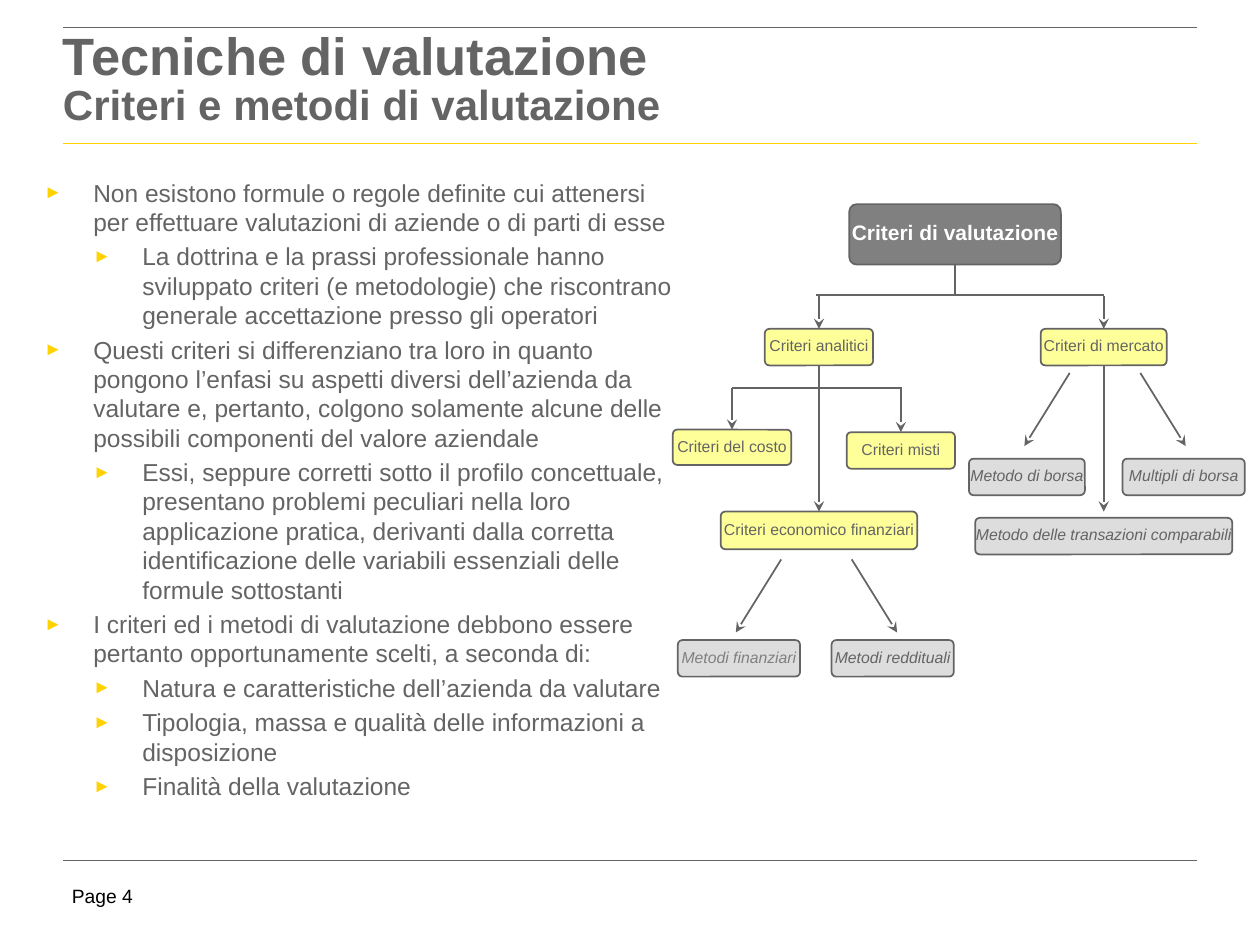
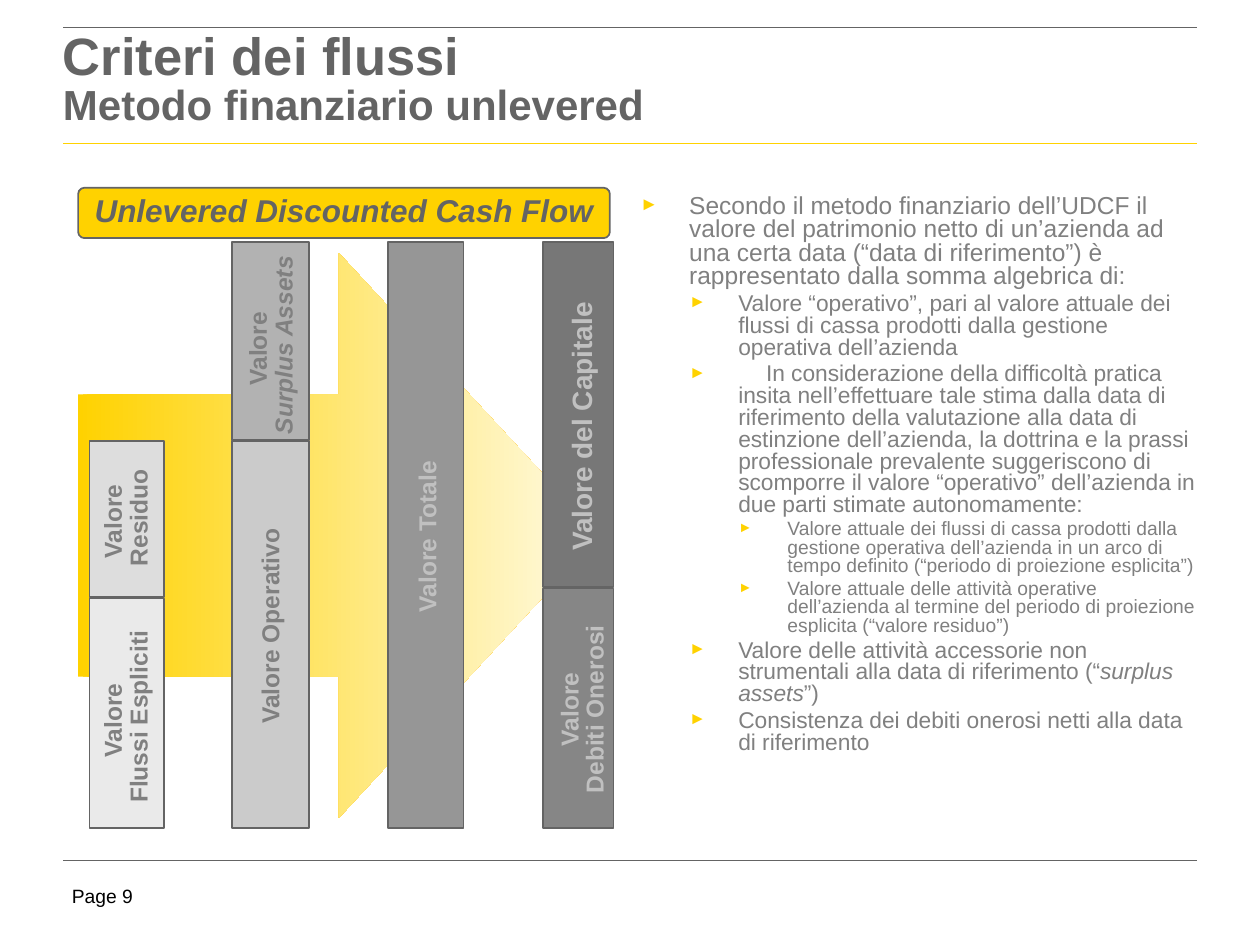
from dataclasses import dataclass

from lxml.etree import SubElement
from pptx import Presentation
from pptx.dml.color import RGBColor
from pptx.enum.shapes import MSO_CONNECTOR, MSO_SHAPE
from pptx.enum.text import MSO_ANCHOR, MSO_AUTO_SIZE, PP_ALIGN
from pptx.oxml.ns import qn
from pptx.util import Pt

PX = 9144  # EMU per px, 100 px to the inch


@dataclass(frozen=True)
class Theme:
    font: str = "Arial"
    text: str = "646464"
    muted: str = "808080"
    pale: str = "C0C0C0"
    black: str = "000000"
    white: str = "FFFFFF"
    accent: str = "FFD200"
    accent_fade: str = "FFFBE5"
    criterion: str = "FFFF99"
    method: str = "DDDDDD"
    title_size: int = 30
    subtitle_size: int = 24
    banner_size: int = 18
    capital_size: int = 16
    body_size: int = 14
    detail_size: int = 13
    root_size: int = 12
    small_size: int = 11
    node_size: int = 9


theme = Theme()


def write(paragraph, text, size, color, bold=False, italic=False, spacing=None, before=0):
    """Fill a paragraph; words between asterisks switch to italic."""
    paragraph.space_before = Pt(before)
    if spacing:
        paragraph.line_spacing = spacing
    for index, part in enumerate(text.split("*")):
        if part:
            run = paragraph.add_run()
            run.text = part
            run.font.name = theme.font
            run.font.size = Pt(size)
            run.font.bold = bold
            run.font.italic = italic or index % 2 == 1
            run.font.color.rgb = RGBColor.from_string(color)


def add_line(slide, start, end, color=theme.text, width=1, arrow=False, source=None, target=None):
    """Draw a line, joined to the bottom of source and the top of target if given."""
    line = slide.shapes.add_connector(MSO_CONNECTOR.STRAIGHT, *(n * PX for n in start + end))
    line.line.color.rgb = RGBColor.from_string(color)
    line.line.width = Pt(width)
    properties = line._element.spPr
    if arrow:
        SubElement(properties.find(qn("a:ln")), qn("a:tailEnd"), type="stealth")
    SubElement(properties, qn("a:effectLst"))
    if source:
        line.begin_connect(source, 2)
    if target:
        line.end_connect(target, 0)


presentation = Presentation()
presentation.slide_width = 1000 * PX
presentation.slide_height = 750 * PX

# Page, title, subtitle, body box, body colour, body line spacing, (level, size, text)
pages = [
    ("Page 4", "Tecniche di valutazione", "Criteri e metodi di valutazione",
     (35, 141, 505, 494), theme.text, 1.0, [
         (0, theme.body_size, "Non esistono formule o regole definite cui attenersi per effettuare "
          "valutazioni di aziende o di parti di esse"),
         (1, theme.body_size, "La dottrina e la prassi professionale hanno sviluppato criteri "
          "(e metodologie) che riscontrano generale accettazione presso gli operatori"),
         (0, theme.body_size, "Questi criteri si differenziano tra loro in quanto pongono l’enfasi su "
          "aspetti diversi dell’azienda da valutare e, pertanto, colgono solamente alcune delle "
          "possibili componenti del valore aziendale"),
         (1, theme.body_size, "Essi, seppure corretti sotto il profilo concettuale, presentano problemi "
          "peculiari nella loro applicazione pratica, derivanti dalla corretta identificazione delle "
          "variabili essenziali delle formule sottostanti"),
         (0, theme.body_size, "I criteri ed i metodi di valutazione debbono essere pertanto "
          "opportunamente scelti, a seconda di:"),
         (1, theme.body_size, "Natura e caratteristiche dell’azienda da valutare"),
         (1, theme.body_size, "Tipologia, massa e qualità delle informazioni a disposizione"),
         (1, theme.body_size, "Finalità della valutazione"),
     ]),
    ("Page 9", "Criteri dei flussi", "Metodo finanziario unlevered",
     (508, 155, 444, 494), theme.muted, 0.8, [
         (0, theme.body_size, "Secondo il metodo finanziario dell’UDCF il valore del patrimonio netto di "
          "un’azienda ad una certa data (“data di riferimento”) è rappresentato dalla somma "
          "algebrica di:"),
         (1, theme.detail_size, "Valore “operativo”, pari al valore attuale dei flussi di cassa prodotti "
          "dalla gestione operativa dell’azienda"),
         (1, theme.detail_size, "\tIn considerazione della difficoltà pratica insita nell’effettuare tale "
          "stima dalla data di riferimento della valutazione alla data di estinzione dell’azienda, la "
          "dottrina e la prassi professionale prevalente suggeriscono di scomporre il valore "
          "“operativo” dell’azienda in due parti stimate autonomamente:"),
         (2, theme.small_size, "Valore attuale dei flussi di cassa prodotti dalla gestione operativa "
          "dell’azienda in un arco di tempo definito (“periodo di proiezione esplicita”)"),
         (2, theme.small_size, "Valore attuale delle attività operative dell’azienda al termine del "
          "periodo di proiezione esplicita (“valore residuo”)"),
         (1, theme.detail_size, "Valore delle attività accessorie non strumentali alla data di "
          "riferimento (“*surplus assets*”)"),
         (1, theme.detail_size, "Consistenza dei debiti onerosi netti alla data di riferimento"),
     ]),
]

slides = []
for page, title, subtitle, body_box, body_color, body_spacing, bullets in pages:
    slide = presentation.slides.add_slide(presentation.slide_layouts[6])
    slides.append(slide)
    for y, color, width in [(114, theme.accent, 1), (683, theme.text, 0.25), (22, theme.text, 0.5)]:
        add_line(slide, (50, y), (950, y), color, width)

    frames = []
    for box, top_inset in [((57, 702, 73, 22), 0), ((50, 22, 900, 94), 4), (body_box, 0)]:
        frame = slide.shapes.add_textbox(*(n * PX for n in box)).text_frame
        frame.word_wrap = True
        frame.margin_left = frame.margin_right = frame.margin_bottom = 0
        frame.margin_top = top_inset * PX
        frames.append(frame)
    footer, heading, body = frames

    write(footer.paragraphs[0], page, theme.small_size, theme.black)
    write(heading.paragraphs[0], title, theme.title_size, theme.text, bold=True, spacing=0.85)
    write(heading.add_paragraph(), subtitle, theme.subtitle_size, theme.text, bold=True, spacing=0.85)

    for index, (level, size, text) in enumerate(bullets):
        paragraph = body.add_paragraph() if index else body.paragraphs[0]
        paragraph.level = level
        write(paragraph, text, size, body_color, spacing=body_spacing, before=0.2 * size)
        properties = paragraph._p.get_or_add_pPr()
        properties.set("marL", str(39 * (level + 1) * PX))
        properties.set("indent", str(-39 * PX))
        bullet_color = SubElement(properties, qn("a:buClr"))
        SubElement(bullet_color, qn("a:srgbClr"), val=theme.accent)
        SubElement(properties, qn("a:buSzPct"), val="75000")
        SubElement(properties, qn("a:buFont"), typeface=theme.font)
        SubElement(properties, qn("a:buChar"), char="►")

tree_slide, flow_slide = slides

# The wide arrow lies behind the bars
arrow = flow_slide.shapes.add_shape(MSO_SHAPE.RIGHT_ARROW, *(n * PX for n in (62, 201, 414, 448)))
arrow.shadow.inherit = False
arrow.line.fill.background()
arrow.fill.gradient()
arrow.fill.gradient_angle = 0
for stop, color in zip(arrow.fill.gradient_stops, (theme.accent, theme.accent_fade)):
    stop.color.rgb = RGBColor.from_string(color)

# Rounded boxes: slide, label, box, fill, size, text colour, bold, italic
criterion = (theme.criterion, theme.node_size, theme.text, False, False)
method = (theme.method, theme.node_size, theme.text, False, True)
muted_method = (theme.method, theme.node_size, theme.muted, False, True)
rounded_boxes = [
    (tree_slide, "Criteri di valutazione", (674, 162, 168, 48),
     (theme.muted, theme.root_size, theme.white, True, False)),
    (tree_slide, "Criteri analitici", (607, 261, 86, 29), criterion),
    (tree_slide, "Criteri di mercato", (826, 261, 100, 29), criterion),
    (tree_slide, "Criteri del costo", (534, 341, 94, 28), criterion),
    (tree_slide, "Criteri misti", (672, 343, 86, 29), criterion),
    (tree_slide, "Criteri economico finanziari", (572, 406, 156, 30), criterion),
    (tree_slide, "Metodi finanziari", (538, 508, 97, 29), muted_method),
    (tree_slide, "Metodi reddituali", (660, 508, 97, 29), method),
    (tree_slide, "Metodo di borsa", (769, 364, 92, 29), method),
    (tree_slide, "Multipli di borsa", (891, 364, 97, 29), method),
    (tree_slide, "Metodo delle transazioni comparabili", (774, 411, 204, 29), method),
    (flow_slide, "Unlevered Discounted Cash Flow", (62, 149, 422, 40),
     (theme.accent, theme.banner_size, theme.text, True, True)),
]
nodes = {}
for slide, label, box, (fill, size, color, bold, italic) in rounded_boxes:
    shape = slide.shapes.add_shape(MSO_SHAPE.ROUNDED_RECTANGLE, *(n * PX for n in box))
    shape.adjustments[0] = 0.125
    shape.shadow.inherit = False
    shape.fill.solid()
    shape.fill.fore_color.rgb = RGBColor.from_string(fill)
    shape.line.color.rgb = RGBColor.from_string(theme.text)
    shape.line.width = Pt(1)
    frame = shape.text_frame
    frame.word_wrap = False
    frame.vertical_anchor = MSO_ANCHOR.MIDDLE
    frame.paragraphs[0].alignment = PP_ALIGN.CENTER
    write(frame.paragraphs[0], label, size, color, bold, italic, spacing=0.85, before=0.45 * size)
    nodes[label] = shape

# Branches of the tree
root = nodes["Criteri di valutazione"]
analytic = nodes["Criteri analitici"]
market = nodes["Criteri di mercato"]
add_line(tree_slide, (758, 210), (758, 234), source=root)
add_line(tree_slide, (648, 234), (876, 234))
add_line(tree_slide, (581, 308), (716, 308))
for x, y, target in [(650, 235, analytic), (876, 235, market),
                     (581, 308, nodes["Criteri del costo"]), (715, 308, nodes["Criteri misti"])]:
    add_line(tree_slide, (x, y), (x, y + 25), arrow=True, target=target)
add_line(tree_slide, (650, 290), (650, 406), arrow=True,
         source=analytic, target=nodes["Criteri economico finanziari"])
add_line(tree_slide, (876, 290), (876, 406), arrow=True, source=market)
for x, y, run in [(620, 444, -36), (676, 444, 36), (849, 296, -36), (905, 296, 36)]:
    add_line(tree_slide, (x, y), (x + run, y + 58), arrow=True)

# Stacked bars: left, width, then (top, height, fill) for each part
stacks = [
    (71, 59, [(350, 124, "DDDDDD"), (475, 182, "EAEAEA")]),
    (184, 61, [(192, 157, "B2B2B2"), (350, 307, "CBCBCB")]),
    (308, 60, [(192, 465, "969696")]),
    (431, 56, [(192, 274, "777777"), (467, 190, "868686")]),
]
for left, width, parts in stacks:
    for top, height, fill in parts:
        bar = flow_slide.shapes.add_shape(
            MSO_SHAPE.RECTANGLE, *(n * PX for n in (left, top, width, height)))
        bar.shadow.inherit = False
        bar.fill.solid()
        bar.fill.fore_color.rgb = RGBColor.from_string(fill)
        bar.line.color.rgb = RGBColor.from_string(theme.text)
        bar.line.width = Pt(1)

# Upright captions: lines, box before turning, size, colour, line spacing, space before
captions = [
    (["Valore ", "Residuo"], (22, 389, 165, 44), theme.body_size, theme.muted, 0.5, 6.3),
    (["Valore ", "Flussi Espliciti"], (22, 547, 165, 44), theme.body_size, theme.muted, 0.5, 6.3),
    (["Valore ", "*Surplus Assets*"], (137, 252, 165, 44), theme.body_size, theme.muted, 0.5, 6.3),
    (["Valore Operativo"], (32, 482, 368, 30), theme.body_size, theme.muted, 0.85, 6.3),
    (["Valore Totale"], (118, 411, 445, 30), theme.body_size, theme.pale, 0.85, 6.3),
    (["Valore del Capitale"], (311, 322, 305, 33), theme.capital_size, theme.pale, 0.85, 7.2),
    (["Valore", "Debiti Onerosi"], (355, 538, 217, 50), theme.body_size, theme.pale, 0.85, 0),
]
for lines, box, size, color, spacing, before in captions:
    caption = flow_slide.shapes.add_textbox(*(n * PX for n in box))
    caption.rotation = 270
    frame = caption.text_frame
    frame.word_wrap = True
    frame.auto_size = MSO_AUTO_SIZE.SHAPE_TO_FIT_TEXT
    for index, text in enumerate(lines):
        paragraph = frame.add_paragraph() if index else frame.paragraphs[0]
        paragraph.alignment = PP_ALIGN.CENTER
        write(paragraph, text, size, color, bold=True, spacing=spacing, before=before)

presentation.save("out.pptx")
